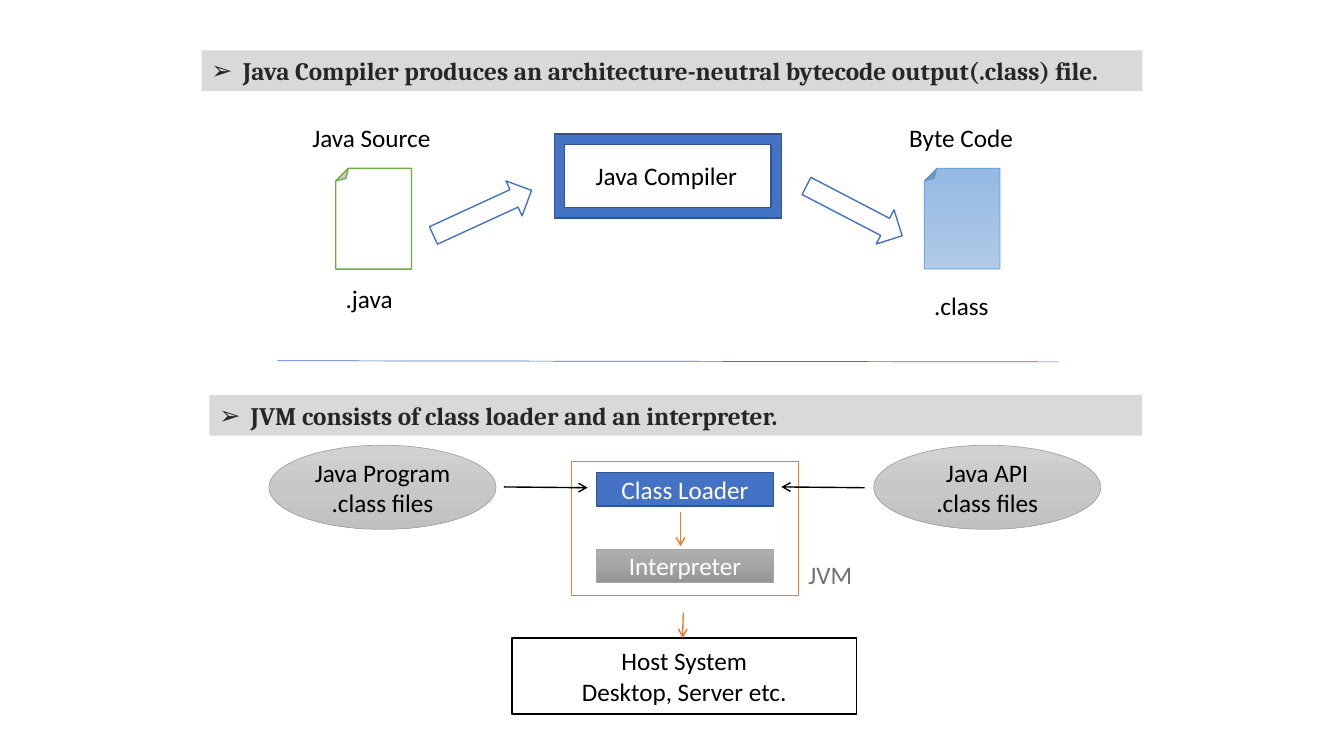
from copy import deepcopy
from dataclasses import dataclass

from lxml.etree import SubElement
from pptx import Presentation
from pptx.dml.color import RGBColor
from pptx.enum.shapes import MSO_CONNECTOR, MSO_SHAPE as Preset
from pptx.enum.text import MSO_ANCHOR as Anchor, MSO_AUTO_SIZE as AutoSize, PP_ALIGN as Align
from pptx.oxml.ns import qn
from pptx.shapes.autoshape import Shape
from pptx.slide import Slide
from pptx.util import Cm, Pt

BLACK = RGBColor(0x00, 0x00, 0x00)
WHITE = RGBColor(0xFF, 0xFF, 0xFF)
INK = RGBColor(0x26, 0x26, 0x26)
BAND = RGBColor(0xD9, 0xD9, 0xD9)
BLUE = RGBColor(0x44, 0x72, 0xC4)
NAVY = RGBColor(0x32, 0x54, 0x91)
SKY = RGBColor(0x5B, 0x9B, 0xD5)
GREEN = RGBColor(0x70, 0xAD, 0x47)
ORANGE = RGBColor(0xED, 0x7D, 0x31)
GRAY = RGBColor(0xA5, 0xA5, 0xA5)
DIM = RGBColor(0x76, 0x71, 0x71)
SKY_FADE = (RGBColor(0xB1, 0xCB, 0xE9), RGBColor(0xA3, 0xC1, 0xE5), RGBColor(0x93, 0xB9, 0xE4))
GRAY_FADE = (RGBColor(0xAF, 0xAF, 0xAF), GRAY, RGBColor(0x93, 0x93, 0x93))
PALE_FADE = (RGBColor(0xD2, 0xD2, 0xD2), RGBColor(0xC8, 0xC8, 0xC8), RGBColor(0xC0, 0xC0, 0xC0))

ROW_HEIGHT = 1.02
BULLET_INDENT = 0.79

Fade = tuple[RGBColor, RGBColor, RGBColor]


@dataclass(frozen=True)
class Block:
    preset: Preset
    left: float
    top: float
    width: float
    height: float
    fill: RGBColor | Fade
    line: RGBColor
    line_width: float = 1
    rotation: float = 0
    text: str = ""
    color: RGBColor = BLACK


@dataclass(frozen=True)
class Heading:
    left: float
    top: float
    width: float
    text: str


@dataclass(frozen=True)
class Label:
    left: float
    top: float
    width: float
    text: str
    color: RGBColor = BLACK
    wrap: bool = True


@dataclass(frozen=True)
class Link:
    start: tuple[float, float]
    end: tuple[float, float]
    color: RGBColor
    width: float = 1
    arrow: bool = True


BLOCKS = (
    Block(Preset.FRAME, 13.97, 3.38, 5.72, 2.11, BLUE, NAVY),
    Block(Preset.FOLDED_CORNER, 8.46, 4.24, 1.91, 2.54, WHITE, GREEN, rotation=180),
    Block(Preset.FOLDED_CORNER, 23.29, 4.24, 1.91, 2.54, SKY_FADE, SKY, 0.5, 180),
    Block(Preset.RIGHT_ARROW, 10.8, 4.88, 2.72, 0.97, WHITE, BLUE, rotation=335.3),
    Block(Preset.RIGHT_ARROW, 20.17, 4.83, 2.72, 0.97, WHITE, BLUE, rotation=27.5),
    Block(Preset.FLOWCHART_PROCESS, 14.4, 11.63, 5.72, 3.38, WHITE, ORANGE),
    Block(Preset.FLOWCHART_PROCESS, 15.04, 11.91, 4.45, 0.84, BLUE, NAVY,
          text="Class Loader", color=WHITE),
    Block(Preset.FLOWCHART_PROCESS, 15.04, 13.84, 4.45, 0.84, GRAY_FADE, GRAY, 0.5,
          text="Interpreter", color=WHITE),
    Block(Preset.OVAL, 6.78, 11.22, 5.72, 2.12, PALE_FADE, GRAY, 0.5,
          text="Java Program\n.class files"),
    Block(Preset.OVAL, 22.02, 11.22, 5.72, 2.12, PALE_FADE, GRAY, 0.5,
          text="Java API\n.class files"),
    Block(Preset.FLOWCHART_PROCESS, 12.9, 16.08, 8.69, 1.91, WHITE, BLACK,
          text="Host System\nDesktop, Server etc."),
)
HEADINGS = (
    Heading(5.08, 1.27, 23.71,
            "Java Compiler produces an architecture-neutral bytecode output(.class) file."),
    Heading(5.28, 9.96, 23.5, "JVM consists of class loader and an interpreter."),
)
LABELS = (
    Label(14.76, 3.91, 4.09, "Java Compiler"),
    Label(7.62, 2.97, 3.61, "Java Source"),
    Label(22.66, 2.97, 3.18, "Byte Code"),
    Label(8.46, 7.01, 1.91, ".java"),
    Label(23.29, 7.19, 1.91, ".class"),
    Label(20.12, 13.97, 1.68, "JVM", DIM, wrap=False),
)
LINKS = (
    Link((6.99, 9.09), (26.67, 9.12), BLUE, 0.5, arrow=False),
    Link((17.15, 12.9), (17.15, 13.77), ORANGE),
    Link((12.7, 12.27), (14.81, 12.29), BLACK),
    Link((21.79, 12.29), (19.69, 12.27), BLACK),
    Link((17.22, 15.44), (17.2, 16.08), ORANGE),
)


def write_text(shape: Shape, text: str, *, color: RGBColor = BLACK, font: str = "Calibri",
               bold: bool = False, align: Align = Align.LEFT, anchor: Anchor = Anchor.TOP,
               wrap: bool = True, grow: bool = False, bullet: str = "") -> None:
    frame = shape.text_frame
    frame.word_wrap = wrap
    frame.vertical_anchor = anchor
    frame.auto_size = AutoSize.SHAPE_TO_FIT_TEXT if grow else AutoSize.NONE
    for index, line in enumerate(text.split("\n")):
        para = frame.add_paragraph() if index else frame.paragraphs[0]
        para.alignment = align
        span = para.add_run()
        span.text = line
        span.font.name = font
        span.font.size = Pt(18)
        span.font.bold = bold
        span.font.color.rgb = color
        if bullet:
            settings = para._p.get_or_add_pPr()
            settings.set("marL", str(Cm(BULLET_INDENT)))
            settings.set("indent", str(-Cm(BULLET_INDENT)))
            SubElement(settings, qn("a:buFont"), typeface="Wingdings 3" if bullet != "➢" else "Arial")
            SubElement(settings, qn("a:buChar"), char=bullet)


def paint(shape: Shape, fill: RGBColor | Fade) -> None:
    if isinstance(fill, RGBColor):
        shape.fill.solid()
        shape.fill.fore_color.rgb = fill
        return
    shape.fill.gradient()
    shape.fill.gradient_angle = 270
    stops = shape.element.spPr.find(qn("a:gradFill")).find(qn("a:gsLst"))
    middle = deepcopy(stops[0])
    middle.set("pos", "50000")
    stops.insert(1, middle)
    for stop, color in zip(shape.fill.gradient_stops, fill):
        stop.color.rgb = color


def add_block(page: Slide, block: Block) -> None:
    shape = page.shapes.add_shape(block.preset, Cm(block.left), Cm(block.top),
                                  Cm(block.width), Cm(block.height))
    shape.shadow.inherit = False
    shape.rotation = block.rotation
    paint(shape, block.fill)
    shape.line.color.rgb = block.line
    shape.line.width = Pt(block.line_width)
    if block.text:
        write_text(shape, block.text, color=block.color, align=Align.CENTER, anchor=Anchor.MIDDLE)


def add_heading(page: Slide, heading: Heading) -> None:
    band = page.shapes.add_shape(Preset.RECTANGLE, Cm(heading.left), Cm(heading.top),
                                 Cm(heading.width), Cm(ROW_HEIGHT))
    band.shadow.inherit = False
    paint(band, BAND)
    band.line.fill.background()
    write_text(band, heading.text, color=INK, font="Cambria", bold=True, grow=True, bullet="➢")


def add_label(page: Slide, label: Label) -> None:
    box = page.shapes.add_textbox(Cm(label.left), Cm(label.top), Cm(label.width), Cm(ROW_HEIGHT))
    write_text(box, label.text, color=label.color, wrap=label.wrap, grow=True)


def add_link(page: Slide, link: Link) -> None:
    points = [Cm(value) for value in (*link.start, *link.end)]
    connector = page.shapes.add_connector(MSO_CONNECTOR.STRAIGHT, *points)
    connector.line.color.rgb = link.color
    connector.line.width = Pt(link.width)
    if link.arrow:
        SubElement(connector.line._get_or_add_ln(), qn("a:tailEnd"), type="arrow")
    SubElement(connector.element.spPr, qn("a:effectLst"))


def main() -> None:
    deck = Presentation()
    deck.slide_width, deck.slide_height = Cm(33.87), Cm(19.05)
    page = deck.slides.add_slide(deck.slide_layouts[6])
    for block in BLOCKS:
        add_block(page, block)
    for heading in HEADINGS:
        add_heading(page, heading)
    for label in LABELS:
        add_label(page, label)
    for link in LINKS:
        add_link(page, link)
    deck.save("out.pptx")


if __name__ == "__main__":
    main()
